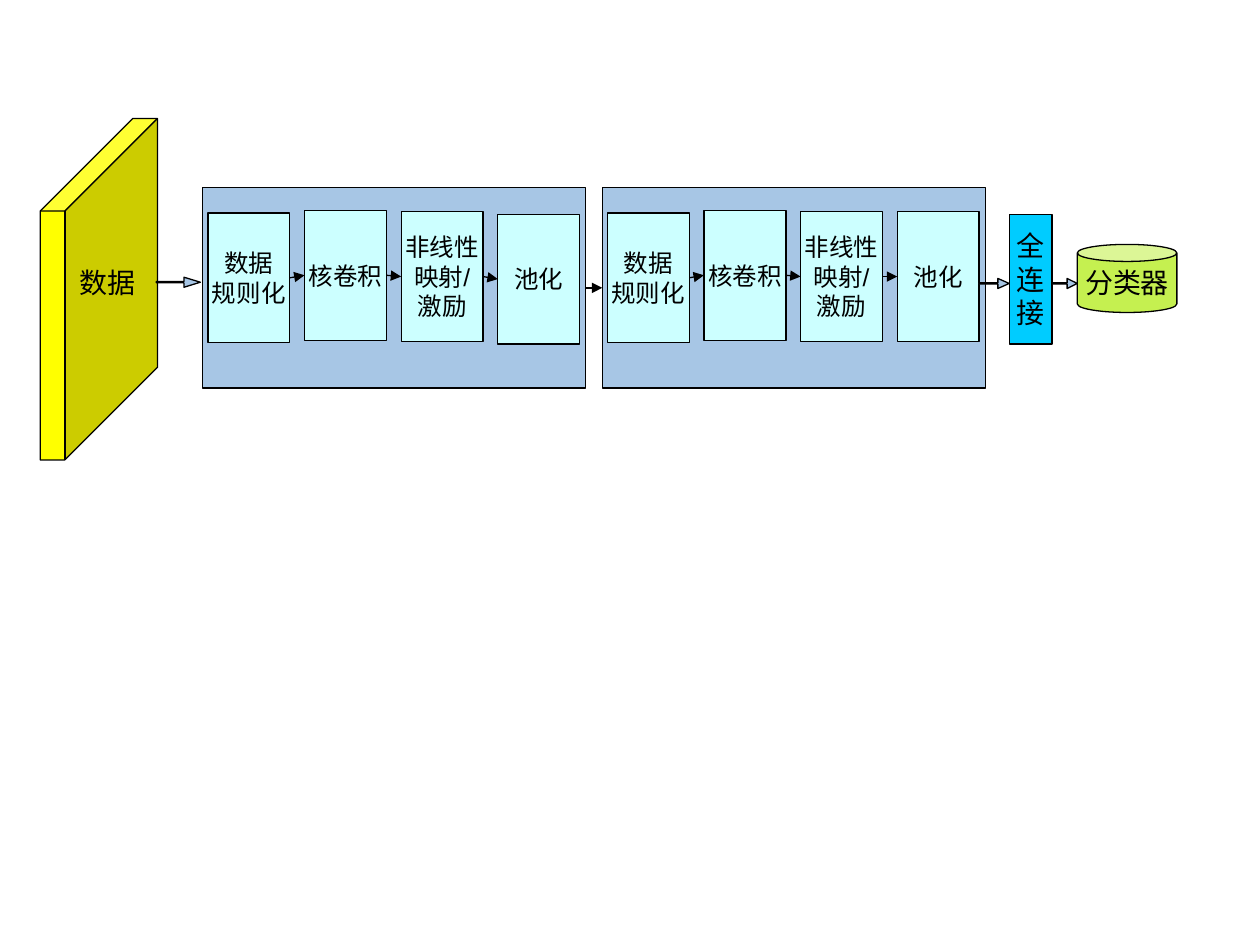
from lxml.etree import SubElement
from pptx import Presentation
from pptx.dml.color import RGBColor
from pptx.enum.shapes import MSO_CONNECTOR, MSO_SHAPE
from pptx.enum.text import MSO_ANCHOR, MSO_AUTO_SIZE, PP_ALIGN
from pptx.oxml.ns import qn
from pptx.util import Inches, Pt

BLACK = RGBColor(0x00, 0x00, 0x00)
BLOCK_BLUE = RGBColor(0xA7, 0xC6, 0xE5)
STAGE_CYAN = RGBColor(0xCC, 0xFF, 0xFF)
DATA_YELLOW = RGBColor(0xFF, 0xFF, 0x00)
DENSE_BLUE = RGBColor(0x00, 0xCC, 0xFF)
CLASSIFIER_GREEN = RGBColor(0xC5, 0xF0, 0x50)

FONT = "Arial"
OUTLINE = Pt(0.75)
LEFT_SIDE, RIGHT_SIDE = 1, 3

STAGES = ["数据\n规则化", "核卷积", "非线性\n映射/\n激励", "池化"]
STAGE_PITCH = 0.767
STAGE_INSET = 0.04


def paint(shape, fill):
    shape.shadow.inherit = False
    shape.fill.solid()
    shape.fill.fore_color.rgb = fill
    shape.line.color.rgb = BLACK
    shape.line.width = OUTLINE


def write(shape, text, size, align):
    frame = shape.text_frame
    frame.word_wrap = False
    frame.text = text
    for paragraph in frame.paragraphs:
        paragraph.alignment = align
        paragraph.font.name = FONT
        paragraph.font.size = Pt(size)
        paragraph.font.color.rgb = BLACK


def add_node(slide, kind, left, top, width, height, fill, text="", size=14):
    node = slide.shapes.add_shape(
        kind, Inches(left), Inches(top), Inches(width), Inches(height))
    paint(node, fill)
    if text:
        node.text_frame.vertical_anchor = MSO_ANCHOR.MIDDLE
        write(node, text, size, PP_ALIGN.CENTER)
    return node


def add_link(slide, source, target):
    """Thin arrow from the right side of one box to the left side of the next."""
    link = slide.shapes.add_connector(MSO_CONNECTOR.STRAIGHT, 0, 0, 0, 0)
    link.begin_connect(source, RIGHT_SIDE)
    link.end_connect(target, LEFT_SIDE)
    link.line.color.rgb = BLACK
    link.line.width = OUTLINE
    SubElement(link.line._get_or_add_ln(), qn("a:tailEnd"), type="triangle")
    SubElement(link._element.spPr, qn("a:effectLst"))


def add_block_arrow(slide, start, neck, tip, middle):
    """Arrow outline with a narrow shaft and a wide head."""
    head, shaft = 0.04, 0.005
    outline = [(neck, middle - head), (tip, middle), (neck, middle + head),
               (neck, middle + shaft), (start, middle + shaft),
               (start, middle - shaft), (neck, middle - shaft)]
    points = [(Inches(x), Inches(y)) for x, y in outline]
    builder = slide.shapes.build_freeform(*points[0])
    builder.add_line_segments(points[1:], close=True)
    paint(builder.convert_to_shape(), BLOCK_BLUE)


def add_conv_block(slide, left, stage_tops):
    """Block of four linked stages."""
    block = add_node(slide, MSO_SHAPE.FLOWCHART_PROCESS,
                     left, 1.49, 3.04, 1.59, BLOCK_BLUE)
    stages = [
        add_node(slide, MSO_SHAPE.FLOWCHART_PROCESS,
                 left + STAGE_INSET + i * STAGE_PITCH, top, 0.65, 1.03,
                 STAGE_CYAN, text)
        for i, (text, top) in enumerate(zip(STAGES, stage_tops))
    ]
    for source, target in zip(stages, stages[1:]):
        add_link(slide, source, target)
    return block


def add_data_cube(slide):
    cube = add_node(slide, MSO_SHAPE.CUBE, 0.32, 0.94, 0.93, 2.71, DATA_YELLOW)
    cube.adjustments[0] = 0.79
    label = slide.shapes.add_textbox(
        Inches(0.53), Inches(2.06), Inches(0.64), Inches(0.37))
    write(label, "数据", 16, PP_ALIGN.LEFT)
    label.text_frame.auto_size = MSO_AUTO_SIZE.SHAPE_TO_FIT_TEXT


def main():
    prs = Presentation()
    prs.slide_width, prs.slide_height = Inches(10), Inches(7.5)
    slide = prs.slides.add_slide(prs.slide_layouts[6])

    # Input data and the two convolution blocks
    add_data_cube(slide)
    first_block = add_conv_block(slide, 1.61, [1.69, 1.67, 1.68, 1.70])
    second_block = add_conv_block(slide, 4.78, [1.69, 1.67, 1.68, 1.68])
    add_link(slide, first_block, second_block)

    # Fully connected layer and classifier
    add_node(slide, MSO_SHAPE.FLOWCHART_PROCESS, 8.01, 1.7, 0.34, 1.03,
             DENSE_BLUE, "全\n连\n接", 16)
    classifier = add_node(slide, MSO_SHAPE.CAN, 8.55, 1.94, 0.79, 0.54,
                          CLASSIFIER_GREEN, "分类器", 16)
    classifier.adjustments[0] = 0.25

    # Arrows into and out of the blocks
    add_block_arrow(slide, 1.24, 1.46, 1.59, 2.24)
    add_block_arrow(slide, 7.77, 7.92, 8.01, 2.25)
    add_block_arrow(slide, 8.35, 8.47, 8.55, 2.25)

    prs.save("out.pptx")


if __name__ == "__main__":
    main()
